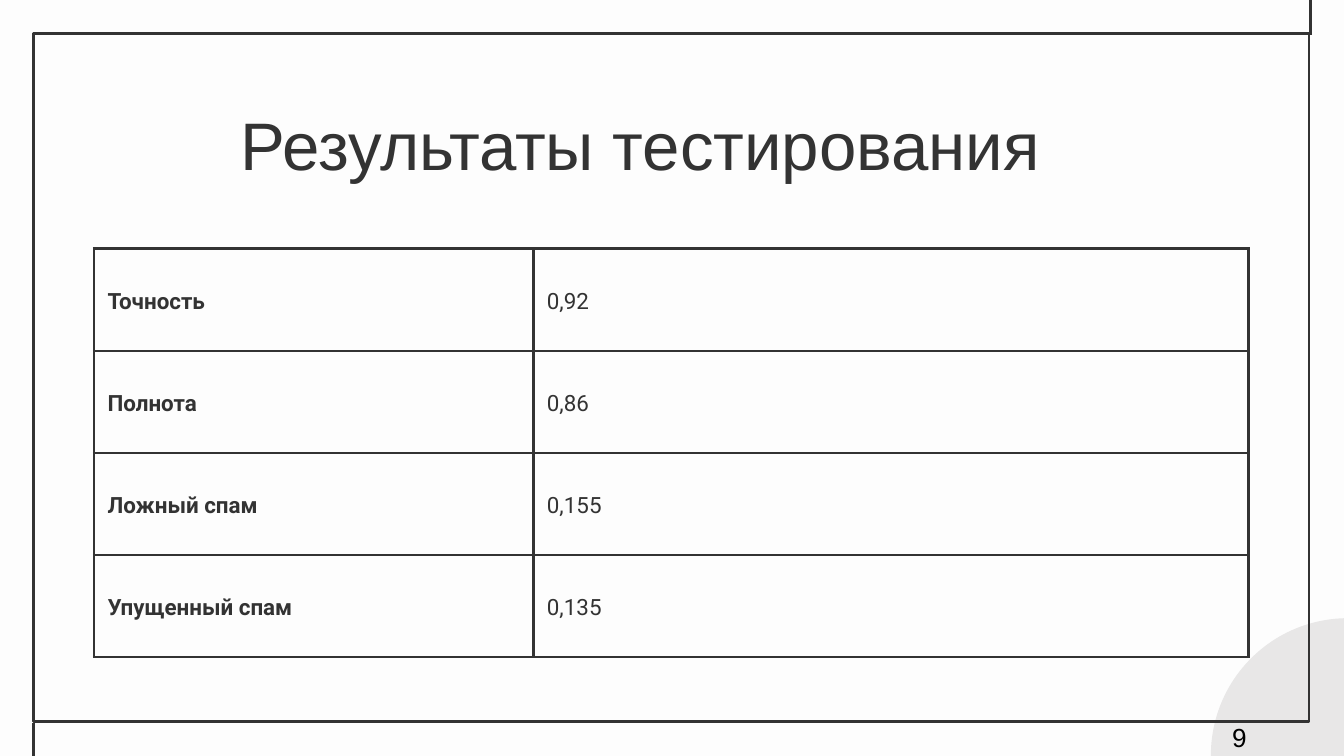
from pptx import Presentation
from pptx.dml.color import RGBColor
from pptx.enum.shapes import MSO_CONNECTOR, MSO_SHAPE
from pptx.enum.text import MSO_ANCHOR
from pptx.oxml import parse_xml
from pptx.oxml.ns import nsdecls
from pptx.util import Inches, Pt

INK = "333333"
PAPER = "FDFDFD"
RESULTS = [
    ("Точность", "0,92"),
    ("Полнота", "0,86"),
    ("Ложный спам", "0,155"),
    ("Упущенный спам", "0,135"),
]


def rgb(color):
    return RGBColor.from_string(color)


def style_line(line):
    line.color.rgb = rgb(INK)
    line.width = Pt(1.5)


def style_font(font, name, size, color, bold=False):
    font.name, font.size, font.bold = name, Pt(size), bold
    font.color.rgb = rgb(color)


def add_shape(s, kind, x, y, w, h, fill=None):
    """Add a filled shape without outline, or an outlined one without fill."""
    sp = s.shapes.add_shape(kind, Inches(x), Inches(y), Inches(w), Inches(h))
    sp.shadow.inherit = False
    if fill:
        sp.fill.solid()
        sp.fill.fore_color.rgb = rgb(fill)
        sp.line.fill.background()
    else:
        sp.fill.background()
        style_line(sp.line)


def add_line(s, x1, y1, x2, y2):
    line = s.shapes.add_connector(
        MSO_CONNECTOR.STRAIGHT, Inches(x1), Inches(y1), Inches(x2), Inches(y2))
    style_line(line.line)
    line._element.spPr.append(parse_xml(f"<a:effectLst {nsdecls('a')}/>"))


def add_text(s, text, x, y, w, h, size, color, top=0.05):
    box = s.shapes.add_textbox(Inches(x), Inches(y), Inches(w), Inches(h))
    tf = box.text_frame
    tf.word_wrap = True
    tf.margin_top = Inches(top)
    p = tf.paragraphs[0]
    p.text = text
    style_font(p.font, "Arial", size, color)


def set_borders(cell):
    tc_pr = cell._tc.get_or_add_tcPr()
    for i, side in enumerate(("lnL", "lnR", "lnT", "lnB")):
        tc_pr.insert(i, parse_xml(
            f'<a:{side} {nsdecls("a")} w="{Pt(1.5)}"><a:solidFill>'
            f'<a:srgbClr val="{INK}"/></a:solidFill></a:{side}>'))


def fill_cell(cell, text, bold):
    cell.fill.background()
    cell.vertical_anchor = MSO_ANCHOR.MIDDLE
    cell.margin_left = cell.margin_right = Inches(0.1)
    cell.margin_top = cell.margin_bottom = 0
    p = cell.text_frame.paragraphs[0]
    p.text = text
    p.line_spacing = 1.15
    style_font(p.font, "Roboto", 12, INK, bold)
    set_borders(cell)


def add_results_table(s, x, y, col_widths, row_height):
    table = s.shapes.add_table(
        len(RESULTS), len(col_widths), Inches(x), Inches(y),
        Inches(sum(col_widths)), Inches(row_height * len(RESULTS))).table
    table.first_row = table.horz_banding = False
    for col, width in zip(table.columns, col_widths):
        col.width = Inches(width)
    for row, values in zip(table.rows, RESULTS):
        row.height = Inches(row_height)
        for i, (cell, text) in enumerate(zip(row.cells, values)):
            fill_cell(cell, text, bold=i == 0)


def main():
    prs = Presentation()
    prs.slide_width = Inches(10)
    prs.slide_height = Inches(10 * 9 / 16)
    s = prs.slides.add_slide(prs.slide_layouts[6])
    s.background.fill.solid()
    s.background.fill.fore_color.rgb = rgb(PAPER)

    # Corner circle and frame
    add_shape(s, MSO_SHAPE.OVAL, 9.01, 4.6, 2.04, 2.04, "E8E7E7")
    add_line(s, 9.75, 0.26, 9.75, -0.05)
    add_line(s, 0.25, 5.69, 0.25, 5.38)
    add_shape(s, MSO_SHAPE.RECTANGLE, 0.25, 0.25, 9.49, 5.12)

    # Title, results and page number
    add_text(s, "Результаты тестирования", 1.69, 0.67, 8.43, 0.63, 36, INK, top=0.1)
    add_results_table(s, 0.7, 1.85, (3.27, 5.32), 0.76)
    add_text(s, "9", 9.07, 5.32, 2.25, 0.3, 14, "000000")

    prs.save("out.pptx")


if __name__ == "__main__":
    main()
